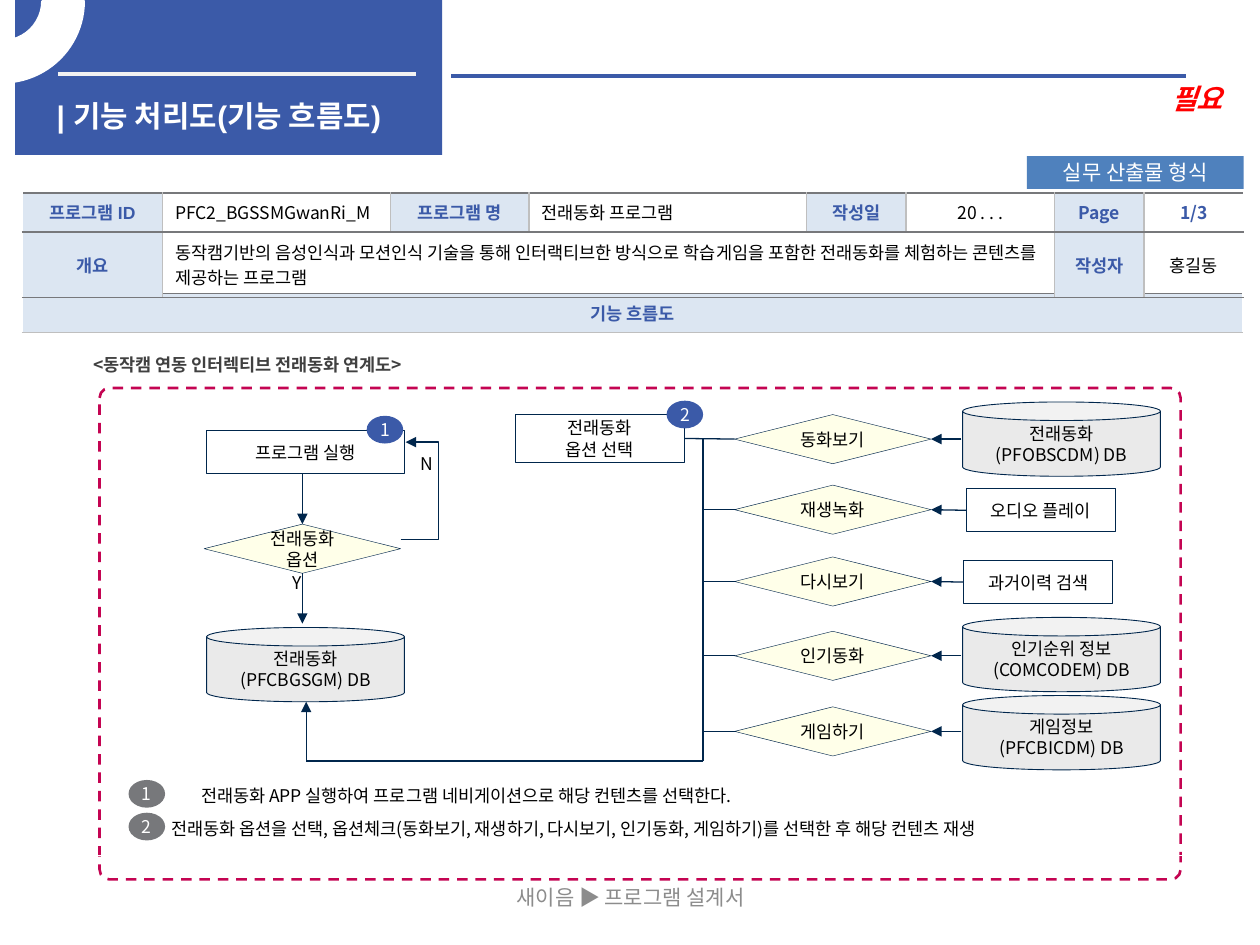
from lxml.etree import SubElement
from pptx import Presentation
from pptx.dml.color import RGBColor
from pptx.enum.dml import MSO_LINE
from pptx.enum.shapes import MSO_CONNECTOR, MSO_SHAPE
from pptx.enum.text import MSO_ANCHOR, PP_ALIGN
from pptx.oxml.ns import qn
from pptx.util import Inches, Pt

BLUE, NAVY, GREY, SILVER, PALE, WHITE = "3B5AA8", "00264C", "77787B", "BFBFBF", "DCE6F2", "FFFFFF"
KFONT = "Noto Sans CJK KR"
rgb = RGBColor.from_string

prs = Presentation()
prs.slide_width, prs.slide_height = Inches(10), Inches(7.5)
s = prs.slides.add_slide(prs.slide_layouts[5])


def grid(*cells):
    """Lengths on a grid of 100 columns by 75 rows."""
    return [round(c * prs.slide_width / 100) for c in cells]


def write(tf, text, size=10, color="000000", font=KFONT, bold=False, italic=False,
          align=PP_ALIGN.CENTER, spacing=None, wrap=True, inset=None):
    """Fill a text frame or a table cell, one paragraph a line."""
    if hasattr(tf, "text_frame"):
        tf.vertical_anchor, tf = MSO_ANCHOR.MIDDLE, tf.text_frame
    else:
        tf.word_wrap = wrap
    if inset is not None:
        tf.margin_left, tf.margin_top, tf.margin_right, tf.margin_bottom = grid(*[inset] * 4)
    for i, line in enumerate(text.split("\n")):
        p = tf.add_paragraph() if i else tf.paragraphs[0]
        p.alignment = align
        if spacing:
            p.line_spacing = spacing
        r = p.add_run()
        r.text = line
        r.font.size, r.font.bold, r.font.italic, r.font.name = Pt(size), bold, italic, font
        r.font.color.rgb = rgb(color)
        SubElement(r.font._element, qn("a:ea"), typeface=KFONT)


# Shapes: key, kind, place, fill, line colour, line width, text, text format
RECT, CAN = MSO_SHAPE.RECTANGLE, MSO_SHAPE.CAN
DIAMOND, OVAL = MSO_SHAPE.FLOWCHART_DECISION, MSO_SHAPE.OVAL
box = {"inset": 0.4}
badge = {"inset": 0.6, "wrap": False, "color": WHITE}
shapes = [
    ("banner", RECT, (1.2, 0, 33.9, 12.3), BLUE, None, 0, "", {}),
    ("ring", MSO_SHAPE.BLOCK_ARC, (-6.3, -6.3, 12.9, 12.8), WHITE, WHITE, 2, "", {}),
    ("frame", MSO_SHAPE.ROUNDED_RECTANGLE, (7.9, 30.8, 85.8, 39), None, "C40452", 1.5, "", {}),
    ("format", RECT, (81.5, 12.4, 17.2, 2.6), "4F81BD", None, 0, "실무 산출물 형식",
     {"size": 12, "color": WHITE}),
    ("run", RECT, (16.4, 34.2, 15.7, 3.4), None, NAVY, 0.5, "프로그램 실행", box),
    ("option", DIAMOND, (16.2, 41.6, 15.6, 3.9), "FFFFE9", NAVY, 0.25, "전래동화 옵션", {}),
    ("choose", RECT, (40.9, 32.9, 13.4, 3.8), None, NAVY, 0.5, "전래동화\n옵션 선택", box),
    ("audio", RECT, (76.7, 38.8, 11.8, 3.4), None, NAVY, 0.5, "오디오 플레이", box),
    ("history", RECT, (76.5, 44.5, 11.8, 3.4), None, NAVY, 0.5, "과거이력 검색", box),
]
for x, y, text in [(16.4, 49.8, "전래동화\n(PFCBGSGM) DB"), (76.4, 31.9, "전래동화\n(PFOBSCDM) DB"),
                   (76.4, 49, "인기순위 정보\n(COMCODEM) DB"), (76.4, 55.2, "게임정보\n(PFCBICDM) DB")]:
    shapes.append((text, CAN, (x, y, 15.7, 5.9), "EAEAEA", NAVY, 0.5, text, box))
menu = [("동화보기", 32.9), ("재생녹화", 38.5), ("다시보기", 44.2), ("인기동화", 50.1), ("게임하기", 56.1)]
for text, y in menu:
    shapes.append((text, DIAMOND, (58.3, y, 15.6, 3.9), "FFFFE9", NAVY, 0.25, text, {}))
for x, y, text, color in [(52.9, 31.8, "2", BLUE), (29.1, 33, "1", BLUE),
                          (10.2, 61.9, "1", GREY), (10.2, 64.5, "2", GREY)]:
    shapes.append((f"{text} {color}", OVAL, (x, y, 2.9, 2.2), color, None, 0, text, badge))

sps = {}
for key, kind, place, fill, line, width, text, fmt in shapes:
    sp = sps[key] = s.shapes.add_shape(kind, *grid(*place))
    sp.shadow.inherit = False
    if fill:
        sp.fill.solid()
        sp.fill.fore_color.rgb = rgb(fill)
    else:
        sp.fill.background()
    if line:
        sp.line.color.rgb, sp.line.width = rgb(line), Pt(width)
    else:
        sp.line.fill.background()
    if text:
        sp.text_frame.vertical_anchor = MSO_ANCHOR.MIDDLE
        write(sp.text_frame, text, **fmt)
ring = sps["ring"]
ring.adjustments[0], ring.adjustments[1], ring.adjustments[2] = 96.95, 0, 0.25
ring._element.spPr.find(qn("a:xfrm")).set("flipV", "1")
sps["frame"].adjustments[0] = 0.02
sps["frame"].line.dash_style = MSO_LINE.DASH

# Title
title = s.shapes.title
title.left, title.top, title.width, title.height = grid(3.5, 7.6, 30.7, 3.2)
title.text_frame.vertical_anchor = MSO_ANCHOR.MIDDLE
write(title.text_frame, "| 기능 처리도(기능 흐름도)", size=17, color=WHITE, font="Arial",
      bold=True, align=PP_ALIGN.LEFT, wrap=False)
s.shapes._spTree.append(title._element)

# Lines: ends, colour, width, arrow, joined shapes with their sides, bend
lines = [
    ((4.6, 5.9, 33, 5.9), "F2F2F2", 2.25, False, None, None, None),
    ((35.8, 6, 94.1, 6), BLUE, 2.25, False, None, None, None),
    ((24, 37.6, 24, 41.6), NAVY, 0.75, True, None, ("option", 0), None),
    ((24, 45.5, 24, 49.5), NAVY, 0.75, True, ("option", 2), None, None),
    ((31.8, 42.8, 32.2, 35.1), NAVY, 0.75, True, None, None, ("bentConnector3", 755500)),
    ((55.8, 60.4, 55.8, 34.8), NAVY, 0.75, False, None, None, None),
    ((55.8, 60.4, 24.3, 60.4), NAVY, 0.75, False, None, None, None),
    ((24.3, 60.4, 24.3, 55.7), NAVY, 0.75, True, None, None, None),
]
sources = [None, ("audio", 1), ("history", 1), None, None]
for (text, y), source in zip(menu, sources):
    mid = y + 1.95
    start = ("choose", 3) if text == menu[0][0] else None
    lines.append(((55.8, mid, 58.3, mid), NAVY, 0.75, False, start, (text, 1), None))
    lines.append(((76.3, mid, 73.9, mid), NAVY, 0.75, True, source, (text, 3), None))
for ends, color, width, arrow, start, end, bend in lines:
    kind = MSO_CONNECTOR.ELBOW if bend else MSO_CONNECTOR.STRAIGHT
    c = s.shapes.add_connector(kind, *grid(*ends))
    c.line.color.rgb, c.line.width = rgb(color), Pt(width)
    if start:
        c.begin_connect(sps[start[0]], start[1])
    if end:
        c.end_connect(sps[end[0]], end[1])
    if arrow:
        SubElement(c.line._get_or_add_ln(), qn("a:tailEnd"), type="triangle")
    if bend:
        geom = c._element.spPr.find(qn("a:prstGeom"))
        geom.set("prst", bend[0])
        SubElement(geom.find(qn("a:avLst")), qn("a:gd"), name="adj1", fmla=f"val {bend[1]}")
    SubElement(c._element.spPr, qn("a:effectLst"))

# Free text
left = {"align": PP_ALIGN.LEFT, "spacing": 1.2}
for place, text, fmt in [
    ((6.4, 27.3, 54.3, 3), "<동작캠 연동 인터렉티브 전래동화 연계도>", {"bold": True, "color": "404040", **left}),
    ((22.2, 44.9, 2.8, 2.7), "Y", {"wrap": False}),
    ((32.3, 35.5, 3.1, 2.7), "N", {"wrap": False}),
    ((12.5, 61.5, 49, 3), "전래동화 APP 실행하여 프로그램 네비게이션으로 해당 컨텐츠를 선택한다.",
     {"wrap": False, "spacing": 1.2}),
    ((12.6, 64.1, 73.9, 2.8), "전래동화 옵션을 선택, 옵션체크(동화보기, 재생하기, 다시보기, 인기동화, 게임하기)를 "
     "선택한 후 해당 컨텐츠 재생", {"wrap": False, **left}),
    ((34.2, 69.7, 31.7, 4), "새이음 ▶ 프로그램 설계서", {"size": 12, "color": "8C8C8C"}),
    ((42.1, 6, 55.9, 3.7), "필요",
     {"size": 16, "color": "FF0000", "bold": True, "italic": True, "align": PP_ALIGN.RIGHT}),
]:
    write(s.shapes.add_textbox(*grid(*place)).text_frame, text, **fmt)

# Tables: place, columns, rows, headings, other texts, left-aligned texts, line colours by row
overview = ("동작캠기반의 음성인식과 모션인식 기술을 통해 인터랙티브한 방식으로 학습게임을 포함한 "
            "전래동화를 체험하는 콘텐츠를 제공하는 프로그램")
tables = [
    ((1.8, 23.3), [96.8], [3.1, 41.5], [["기능 흐름도"], [""]], [GREY, SILVER, WHITE]),
    ((1.8, 15.3), [11.1, 18.1, 11, 22, 7.9, 11.8, 7.1, 7.9], [3.1, 5.2],
     [["프로그램 ID", "PFC2_BGSSMGwanRi_M", "프로그램 명", "전래동화 프로그램", "작성일", "20 . . .", "Page", "1/3"],
      ["개요", overview, "", "", "", "", "작성자", "홍길동"]], [GREY, GREY, GREY]),
]
headings = {"기능 흐름도", "프로그램 ID", "프로그램 명", "작성일", "Page", "개요", "작성자"}
lefts = {"PFC2_BGSSMGwanRi_M", "전래동화 프로그램", overview}
for at, cols, rows, texts, rules in tables:
    tbl = s.shapes.add_table(len(rows), len(cols), *grid(*at, sum(cols), sum(rows))).table
    tbl.first_row = tbl.horz_banding = False
    for col, width in zip(tbl.columns, grid(*cols)):
        col.width = width
    for row, height in zip(tbl.rows, grid(*rows)):
        row.height = height
    if len(cols) > 1:
        tbl.cell(1, 1).merge(tbl.cell(1, 5))
    for i, line in enumerate(texts):
        for j, text in enumerate(line):
            cell = tbl.cell(i, j)
            edges = {"a:lnL": SILVER if j else WHITE, "a:lnR": SILVER if j < len(cols) - 1 else WHITE,
                     "a:lnT": rules[i], "a:lnB": rules[i + 1]}
            for tag, color in edges.items():
                ln = SubElement(cell._tc.get_or_add_tcPr(), qn(tag), w=str(Pt(1)))
                SubElement(SubElement(ln, qn("a:solidFill")), qn("a:srgbClr"), val=color)
            if text in headings:
                cell.fill.solid()
                cell.fill.fore_color.rgb = rgb(PALE)
            else:
                cell.fill.background()
            if text:
                strong = text in headings or text == "1/3"
                write(cell, text, bold=strong, color=BLUE if strong else "000000",
                      font="Arial" if text in ("프로그램 ID", "개요") else KFONT,
                      align=PP_ALIGN.LEFT if text in lefts else PP_ALIGN.CENTER)

prs.save("out.pptx")
